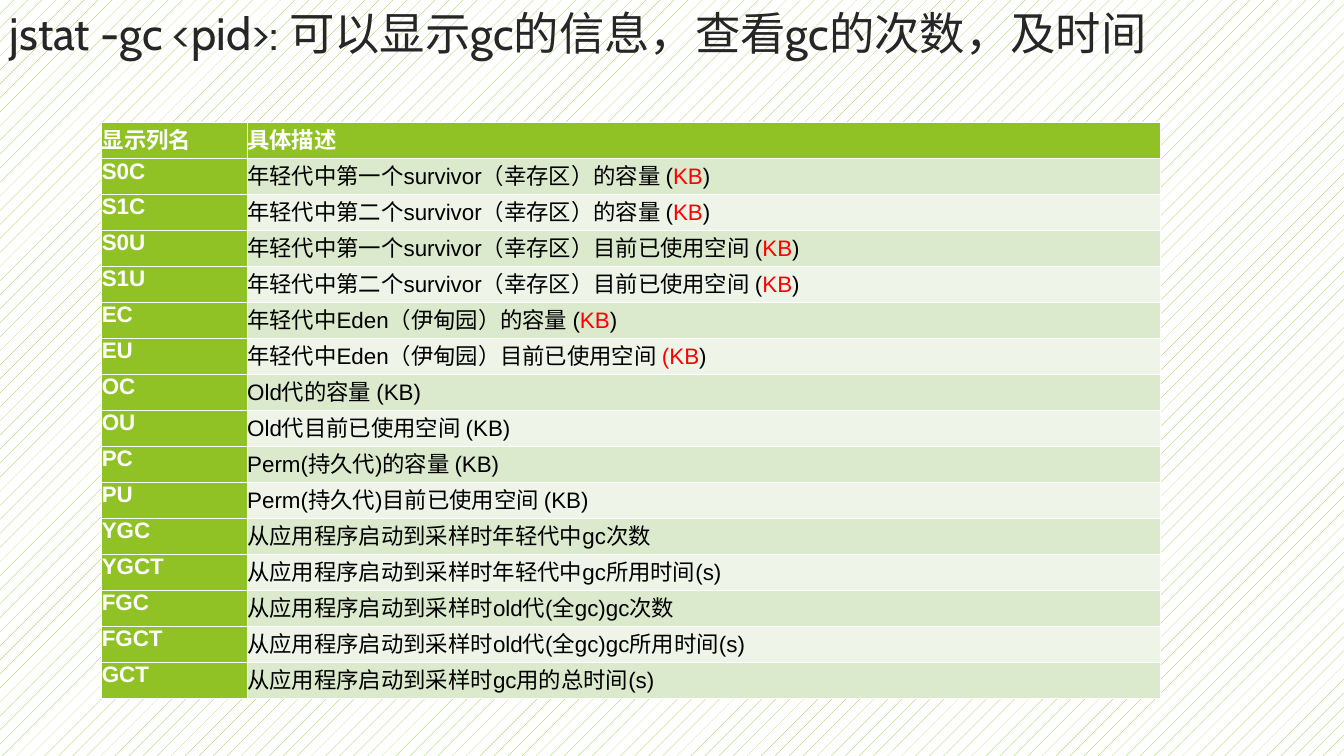
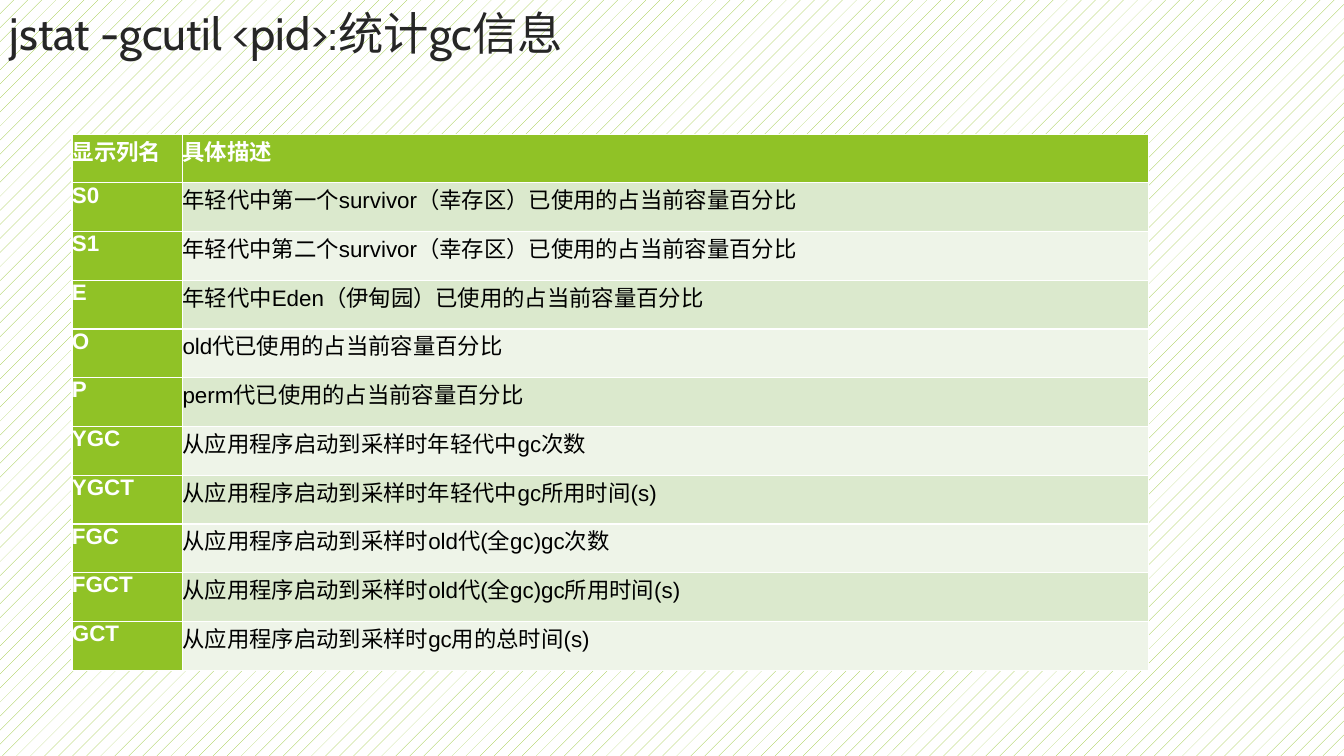
from pptx import Presentation
from pptx.dml.color import RGBColor
from pptx.enum.dml import MSO_PATTERN
from pptx.enum.text import MSO_ANCHOR
from pptx.util import Pt

COLORS = {
    "green": "90C226",
    "white": "FFFFFF",
    "title": "262626",
    "text": "000000",
    "unit": "FF0000",
    "odd": "DBE9CD",
    "even": "EEF4E8",
}
TITLE_FORMAT = {"name": "Cabin", "size": Pt(32.4), "bold": False}
LABEL_FORMAT = {"name": "Arial", "size": Pt(16), "bold": True}
BODY_FORMAT = {"name": "Arial", "size": Pt(16), "bold": False}
NO_MARGINS = dict.fromkeys(
    ("margin_left", "margin_top", "margin_right", "margin_bottom"), 0
)

HEADER = ("显示列名", "具体描述")
COUNT_ROWS = [
    ("YGC", "从应用程序启动到采样时年轻代中gc次数"),
    ("YGCT", "从应用程序启动到采样时年轻代中gc所用时间(s)"),
    ("FGC", "从应用程序启动到采样时old代(全gc)gc次数"),
    ("FGCT", "从应用程序启动到采样时old代(全gc)gc所用时间(s)"),
    ("GCT", "从应用程序启动到采样时gc用的总时间(s)"),
]

# Text between two bars is shown in the unit colour
SLIDES = [
    {
        "title": "jstat -gc <pid>: 可以显示gc的信息，查看gc的次数，及时间",
        "left": 72.7,
        "top": 87.8,
        "columns": (103.9, 652.3),
        "row_height": 25.71,
        "rows": [
            ("S0C", "年轻代中第一个survivor（幸存区）的容量 (|KB|)"),
            ("S1C", "年轻代中第二个survivor（幸存区）的容量 (|KB|)"),
            ("S0U", "年轻代中第一个survivor（幸存区）目前已使用空间 (|KB|)"),
            ("S1U", "年轻代中第二个survivor（幸存区）目前已使用空间 (|KB|)"),
            ("EC", "年轻代中Eden（伊甸园）的容量 (|KB|)"),
            ("EU", "年轻代中Eden（伊甸园）目前已使用空间 |(KB|)"),
            ("OC", "Old代的容量 (KB)"),
            ("OU", "Old代目前已使用空间 (KB)"),
            ("PC", "Perm(持久代)的容量 (KB)"),
            ("PU", "Perm(持久代)目前已使用空间 (KB)"),
        ],
    },
    {
        "title": "jstat -gcutil <pid>:统计gc信息",
        "left": 51.4,
        "top": 95.8,
        "columns": (79, 690),
        "row_height": 34.82,
        "rows": [
            ("S0", "年轻代中第一个survivor（幸存区）已使用的占当前容量百分比"),
            ("S1", "年轻代中第二个survivor（幸存区）已使用的占当前容量百分比"),
            ("E", "年轻代中Eden（伊甸园）已使用的占当前容量百分比"),
            ("O", "old代已使用的占当前容量百分比"),
            ("P", "perm代已使用的占当前容量百分比"),
        ],
    },
]


def set_attributes(target, values):
    for name, value in values.items():
        setattr(target, name, value)


def add_run(paragraph, text, font_format, color):
    run = paragraph.add_run()
    run.text = text
    set_attributes(run.font, font_format)
    run.font.color.rgb = RGBColor.from_string(COLORS[color])


presentation = Presentation()
presentation.slide_width, presentation.slide_height = Pt(960), Pt(540)

for content in SLIDES:
    slide = presentation.slides.add_slide(presentation.slide_layouts[6])

    # Hatched background
    background = slide.background.fill
    background.patterned()
    background.pattern = MSO_PATTERN.PERCENT_5
    background.fore_color.rgb = RGBColor.from_string(COLORS["green"])
    background.back_color.rgb = RGBColor.from_string(COLORS["white"])

    # Title
    title_box = slide.shapes.add_textbox(0, 0, Pt(878.4), Pt(46))
    title_frame = title_box.text_frame
    title_frame.word_wrap = True
    title_frame.vertical_anchor = MSO_ANCHOR.MIDDLE
    add_run(title_frame.paragraphs[0], content["title"], TITLE_FORMAT, "title")

    # Table: its default style supplies the white rules
    rows = [HEADER, *content["rows"], *COUNT_ROWS]
    table = slide.shapes.add_table(
        len(rows), len(HEADER), Pt(content["left"]), Pt(content["top"]),
        Pt(sum(content["columns"])), Pt(content["row_height"] * len(rows)),
    ).table
    for column, width in zip(table.columns, content["columns"]):
        column.width = Pt(width)

    for row_index, texts in enumerate(rows):
        table.rows[row_index].height = Pt(content["row_height"])
        for column_index, text in enumerate(texts):
            cell = table.cell(row_index, column_index)
            set_attributes(cell, NO_MARGINS)
            is_label = row_index == 0 or column_index == 0
            band = "odd" if row_index % 2 else "even"
            cell.fill.solid()
            cell.fill.fore_color.rgb = RGBColor.from_string(
                COLORS["green" if is_label else band]
            )
            paragraph = cell.text_frame.paragraphs[0]
            if is_label:
                add_run(paragraph, text, LABEL_FORMAT, "white")
                continue
            for part_index, part in enumerate(text.split("|")):
                color = "unit" if part_index % 2 else "text"
                add_run(paragraph, part, BODY_FORMAT, color)

presentation.save("out.pptx")
